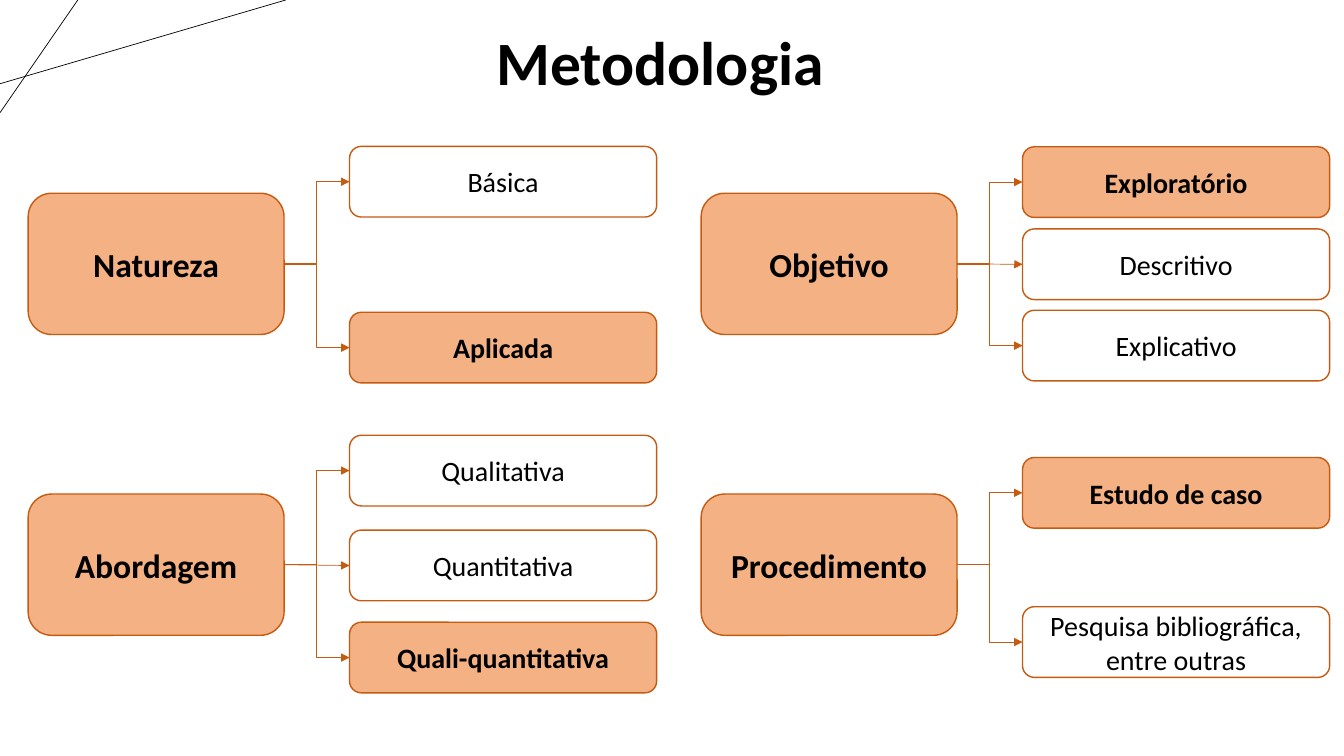
import lxml.etree
import pptx
import pptx.dml.color
import pptx.enum.shapes
import pptx.enum.text
import pptx.oxml.ns
import pptx.util

Cm, Pt = pptx.util.Cm, pptx.util.Pt
qn = pptx.oxml.ns.qn
CONNECTOR = pptx.enum.shapes.MSO_CONNECTOR

# Content: topic, left, top, options as (text, top, chosen); lengths in cm
HEADING = "Metodologia"
TOPICS = [
    ("Natureza", 0.71, 4.87, [("Básica", 3.69, False), ("Aplicada", 7.87, True)]),
    ("Objetivo", 17.67, 4.87, [("Exploratório", 3.7, True),
                               ("Descritivo", 5.77, False),
                               ("Explicativo", 7.82, False)]),
    ("Abordagem", 0.71, 12.45, [("Qualitativa", 10.97, False),
                                ("Quantitativa", 13.36, False),
                                ("Quali-quantitativa", 15.68, True)]),
    ("Procedimento", 17.67, 12.45, [("Estudo de caso", 11.53, True),
                                    ("Pesquisa bibliográfica, entre outras", 15.29, False)]),
]
CORNER_LINES = [(0, 2.11, 7.2, 0), (1.96, 0, 0, 2.84)]

# Style
COLORS = {"text": "000000", "corner": "000000", "fill": "F4B183", "edge": "C55A11"}
FONT = "Calibri"
TOPIC_SIZE = (6.45, 3.56)
OPTION_SIZE = (7.74, 1.78)
OPTION_OFFSET = 8.1


def color(name):
    return pptx.dml.color.RGBColor.from_string(COLORS[name])


def write(frame, text, size, bold):
    frame.word_wrap = True
    frame.vertical_anchor = pptx.enum.text.MSO_ANCHOR.MIDDLE
    paragraph = frame.paragraphs[0]
    paragraph.alignment = pptx.enum.text.PP_ALIGN.CENTER
    run = paragraph.add_run()
    run.text = text
    run.font.name, run.font.size, run.font.bold = FONT, Pt(size), bold
    run.font.color.rgb = color("text")


def add_box(slide, left, top, size, text, points, chosen):
    box = slide.shapes.add_shape(pptx.enum.shapes.MSO_SHAPE.ROUNDED_RECTANGLE,
                                 Cm(left), Cm(top), Cm(size[0]), Cm(size[1]))
    box.shadow.inherit = False
    if chosen:
        box.fill.solid()
        box.fill.fore_color.rgb = color("fill")
    else:
        box.fill.background()
    box.line.color.rgb = color("edge")
    box.line.width = Pt(1)
    write(box.text_frame, text, points, chosen)
    return box


def add_line(slide, kind, ends, color_name):
    line = slide.shapes.add_connector(kind, *(Cm(end) for end in ends))
    line.line.color.rgb = color(color_name)
    line.line.width = Pt(0.5)
    lxml.etree.SubElement(line._element.spPr, qn("a:effectLst"))
    return line


def add_branch(slide, topic, option, kind):
    branch = add_line(slide, kind, (0, 0, 1, 1), "edge")
    branch.begin_connect(topic, 3)
    branch.end_connect(option, 1)
    outline = branch._element.spPr.find(qn("a:ln"))
    lxml.etree.SubElement(outline, qn("a:tailEnd"), type="triangle")


def main():
    deck = pptx.Presentation()
    deck.slide_width, deck.slide_height = Cm(33.87), Cm(19.05)
    slide = deck.slides.add_slide(deck.slide_layouts[5])

    # Corner decoration
    for ends in CORNER_LINES:
        add_line(slide, CONNECTOR.STRAIGHT, ends, "corner")

    # Heading
    heading = slide.shapes.title
    heading.left, heading.top = Cm(7.09), Cm(0.46)
    heading.width, heading.height = Cm(19.1), Cm(2.14)
    write(heading.text_frame, HEADING, 44, True)

    # Topics with their options; the middle one of three gets a straight arrow
    for name, left, top, options in TOPICS:
        topic = add_box(slide, left, top, TOPIC_SIZE, name, 24, True)
        for index, (text, option_top, chosen) in enumerate(options):
            option = add_box(slide, left + OPTION_OFFSET, option_top,
                             OPTION_SIZE, text, 20, chosen)
            is_middle = 2 * index + 1 == len(options)
            add_branch(slide, topic, option,
                       CONNECTOR.STRAIGHT if is_middle else CONNECTOR.ELBOW)

    deck.save("out.pptx")


if __name__ == "__main__":
    main()
